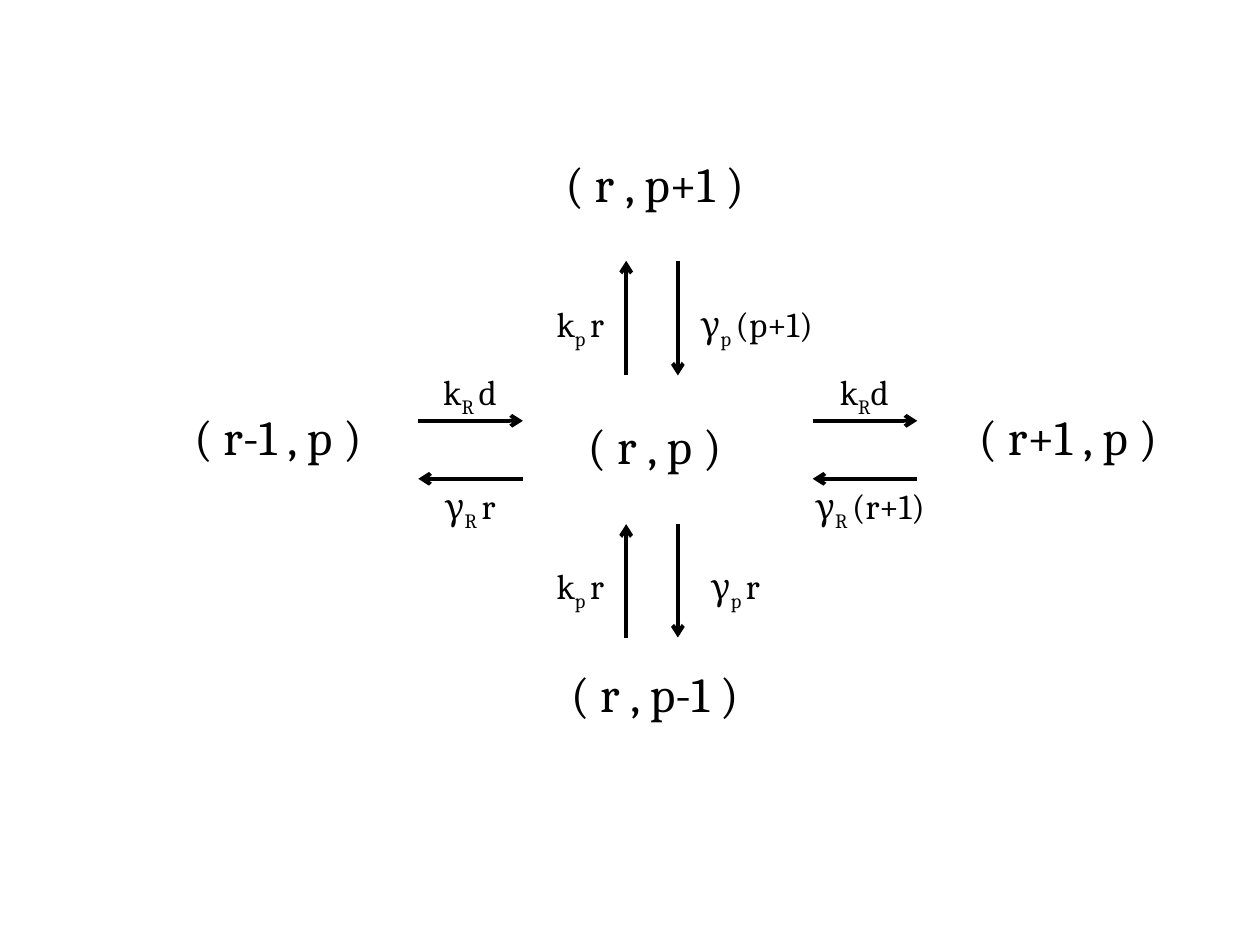
import pptx
import pptx.util
import pptx.dml.color
import pptx.enum.shapes
import pptx.enum.text
import pptx.oxml
import pptx.oxml.ns
from pptx.util import Inches

BLACK = pptx.dml.color.RGBColor(0, 0, 0)
WHITE = pptx.dml.color.RGBColor(255, 255, 255)
FONT = "Cambria"
STATE_SIZE, RATE_SIZE = 28, 20
STATE_WIDTH, STATE_HEIGHT, RATE_HEIGHT = 3.05, 0.57, 0.44

# States: text, left, top
STATES = [
    ("( r , p )", 3.67, 3.25),
    ("( r-1 , p )", 0.68, 3.18),
    ("( r , p+1 )", 3.67, 1.17),
    ("( r , p-1 )", 3.67, 5.22),
    ("( r+1 , p )", 6.95, 3.18),
]

# Rates: symbol, subscript, factor, left, top, width
RATES = [
    ("k", "R ", "d", 3.32, 2.89, 0.82),
    ("k", "R", "d", 6.45, 2.89, 0.82),
    ("γ", "R ", "r", 3.32, 3.8, 0.82),
    ("γ", "R ", "(r+1)", 6.12, 3.8, 1.57),
    ("k", "p ", "r", 3.82, 4.43, 1.57),
    ("k", "p ", "r", 3.82, 2.35, 1.57),
    ("γ", "p ", "r", 5.05, 4.43, 1.57),
    ("γ", "p ", "(p+1)", 5.22, 2.35, 1.57),
]

# Transitions: each span holds one arrow per direction
UP_X, DOWN_X = 4.97, 5.38
RIGHT_Y, LEFT_Y = 3.34, 3.8
VERTICAL_SPANS = [(2.07, 2.98), (4.16, 5.06)]
HORIZONTAL_SPANS = [(3.32, 4.15), (6.45, 7.28)]

presentation = pptx.Presentation()
presentation.slide_width, presentation.slide_height = Inches(10), Inches(7.5)
slide = presentation.slides.add_slide(presentation.slide_layouts[6])
slide.background.fill.solid()
slide.background.fill.fore_color.rgb = WHITE
diagram = slide.shapes.add_group_shape().shapes


def add_label(parts, size, left, top, width, height):
    """Add centred text; parts are (text, is_subscript) pairs."""
    label = diagram.add_textbox(*map(Inches, (left, top, width, height)))
    frame = label.text_frame
    frame.word_wrap = True
    frame.auto_size = pptx.enum.text.MSO_AUTO_SIZE.SHAPE_TO_FIT_TEXT
    paragraph = frame.paragraphs[0]
    paragraph.alignment = pptx.enum.text.PP_ALIGN.CENTER
    for text, is_subscript in parts:
        run = paragraph.add_run()
        run.text = text
        run.font.name = FONT
        run.font.size = pptx.util.Pt(size)
        run.font.color.rgb = BLACK
        if is_subscript:
            run._r.get_or_add_rPr().set("baseline", "-25000")
    return frame


def add_arrow(x1, y1, x2, y2):
    arrow = diagram.add_connector(
        pptx.enum.shapes.MSO_CONNECTOR.STRAIGHT, *map(Inches, (x1, y1, x2, y2)))
    arrow.line.color.rgb = BLACK
    arrow.line.width = pptx.util.Pt(2.25)
    head = pptx.oxml.parse_xml(
        f'<a:tailEnd {pptx.oxml.ns.nsdecls("a")} type="arrow"/>')
    arrow.line._get_or_add_ln().append(head)
    arrow._element.spPr.append(pptx.oxml.parse_xml(
        f'<a:effectLst {pptx.oxml.ns.nsdecls("a")}/>'))


# State labels, the central one anchored in the middle
state_frames = [
    add_label([(text, False)], STATE_SIZE, left, top, STATE_WIDTH, STATE_HEIGHT)
    for text, left, top in STATES
]
state_frames[0].vertical_anchor = pptx.enum.text.MSO_ANCHOR.MIDDLE

# Transition arrows
for top, bottom in VERTICAL_SPANS:
    add_arrow(UP_X, bottom, UP_X, top)
    add_arrow(DOWN_X, top, DOWN_X, bottom)
for left, right in HORIZONTAL_SPANS:
    add_arrow(left, RIGHT_Y, right, RIGHT_Y)
    add_arrow(right, LEFT_Y, left, LEFT_Y)

# Rate labels
for symbol, subscript, factor, left, top, width in RATES:
    add_label([(symbol, False), (subscript, True), (factor, False)],
              RATE_SIZE, left, top, width, RATE_HEIGHT)

presentation.save("out.pptx")
